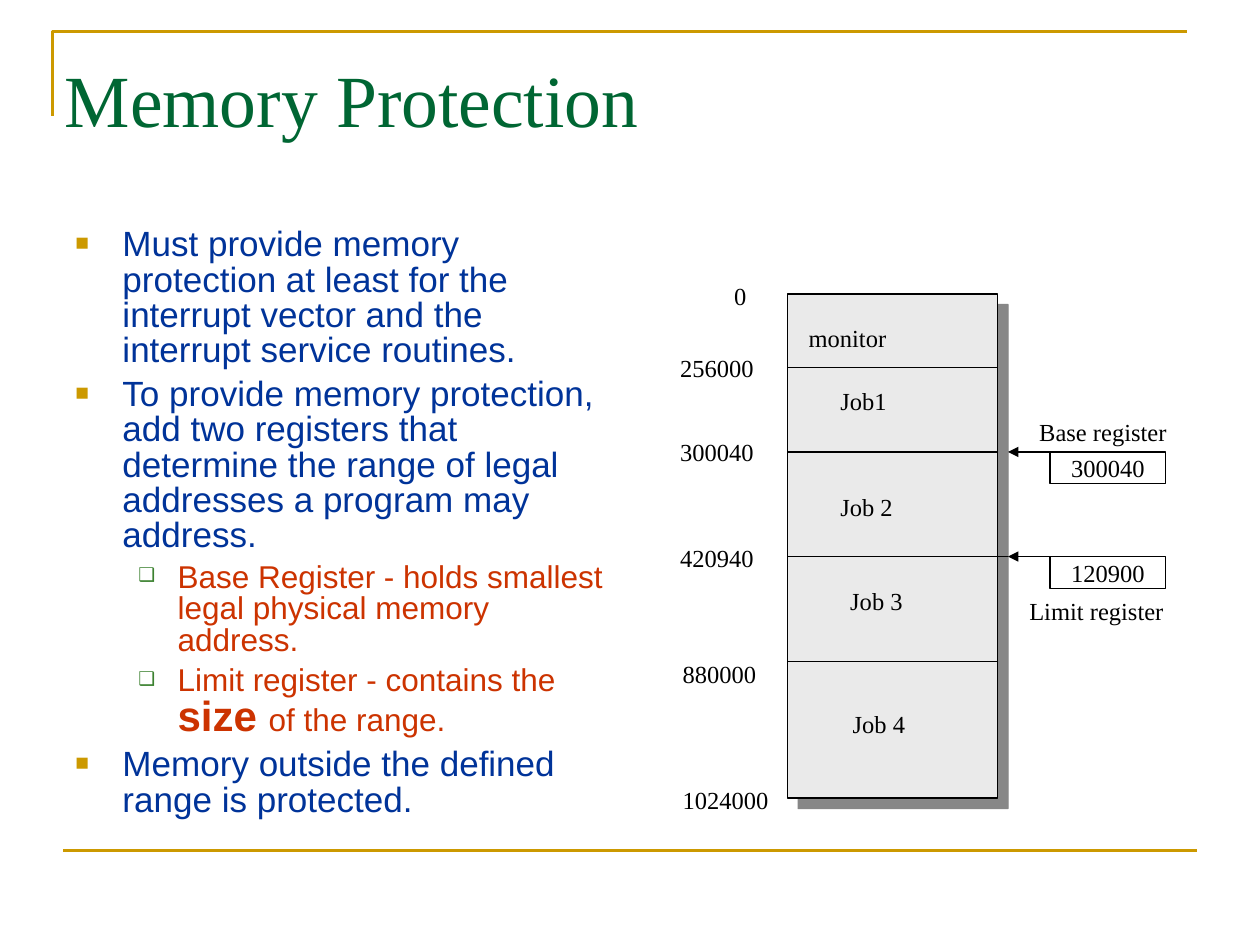
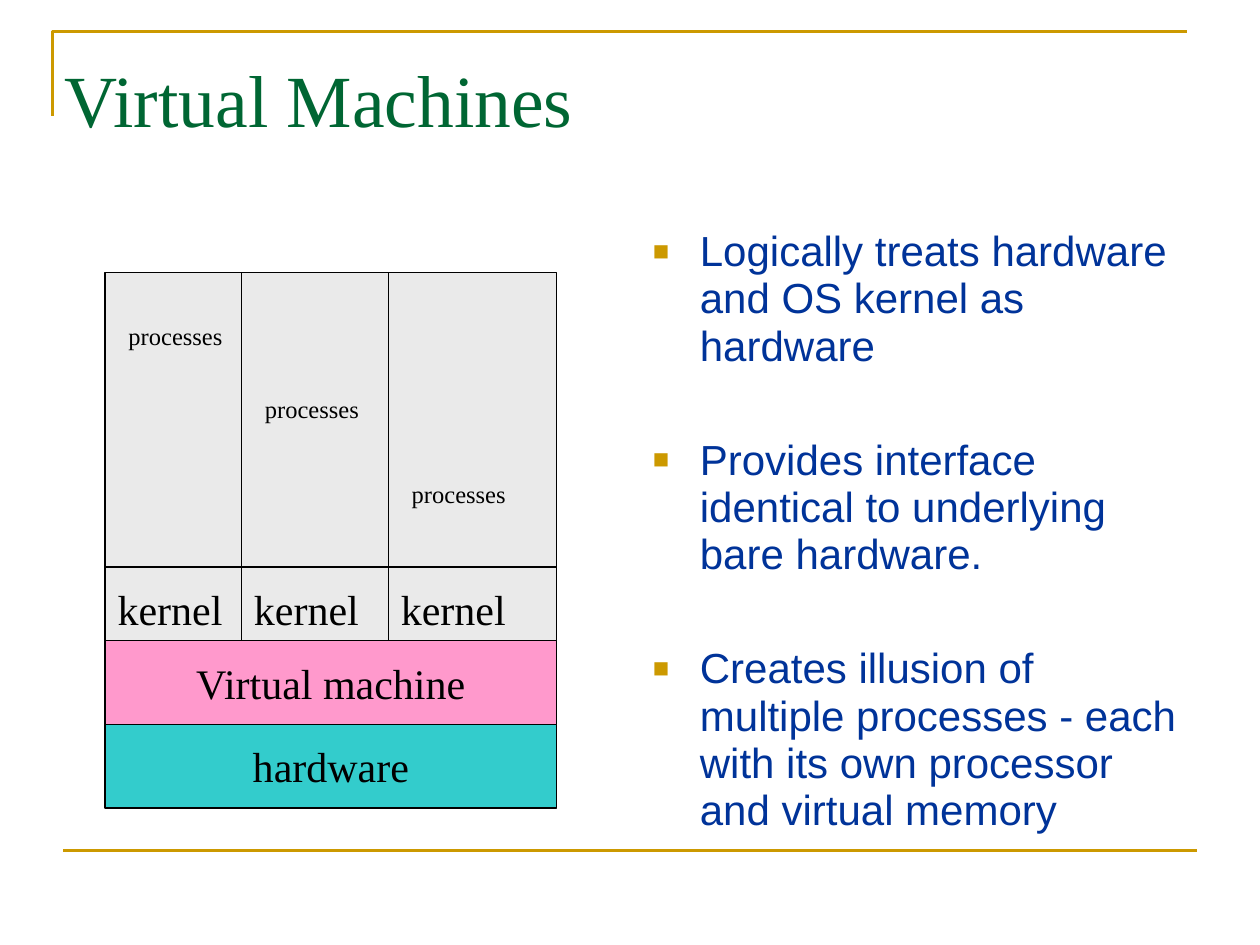
from dataclasses import dataclass

from lxml import etree
from pptx import Presentation
from pptx.dml.color import RGBColor
from pptx.enum.shapes import MSO_CONNECTOR as Connector, MSO_SHAPE as Preset
from pptx.enum.text import MSO_ANCHOR as Anchor, PP_ALIGN as Align
from pptx.oxml.ns import qn
from pptx.util import Cm, Pt


@dataclass(frozen=True)
class Theme:
    gold: str = "CC9900"
    title_green: str = "006633"
    body_blue: str = "003399"
    detail_red: str = "CC3300"
    detail_mark: str = "3B812F"
    ink: str = "000000"
    block_grey: str = "EAEAEA"
    shadow_grey: str = "5F5F5F"
    pink: str = "FF99CC"
    teal: str = "33CCCC"
    serif: str = "Times New Roman"
    sans: str = "Arial"
    title_size: float = 42
    large_size: float = 24
    body_size: float = 20
    detail_size: float = 18
    label_size: float = 14
    rule_width: float = 1.5
    line_width: float = 0.75


@dataclass(frozen=True)
class Box:
    """A rectangle in centimetres."""
    left: float
    top: float
    width: float
    height: float

    def inner_box(self, left, top, width, height):
        return Box(self.left + left, self.top + top, width, height)

    def lengths(self):
        return [Cm(side) for side in (self.left, self.top, self.width, self.height)]


THEME = Theme()
LABEL_WIDTH, LABEL_HEIGHT = 3.4, 0.86


def write(para, text, size=THEME.label_size, font=THEME.serif, color=THEME.ink, bold=False):
    span = para.add_run()
    span.text = text
    span.font.size = Pt(size)
    span.font.name = font
    span.font.bold = bold
    span.font.color.rgb = RGBColor.from_string(color)


def add_text_frame(page, box, top_inset=0.13):
    frame = page.shapes.add_textbox(*box.lengths()).text_frame
    frame.word_wrap = True
    frame.margin_left = frame.margin_right = Cm(0.25)
    frame.margin_top, frame.margin_bottom = Cm(top_inset), Cm(0)
    return frame


def add_label(page, region, left, top, text, **style):
    box = region.inner_box(left, top, LABEL_WIDTH, LABEL_HEIGHT)
    write(add_text_frame(page, box).paragraphs[0], text, **style)


def set_line(line, color=THEME.ink, width=THEME.line_width):
    line.color.rgb = RGBColor.from_string(color)
    line.width = Pt(width)


def add_line(page, region, start, end, arrow=False, **style):
    points = (region.left + start[0], region.top + start[1],
              region.left + end[0], region.top + end[1])
    line = page.shapes.add_connector(Connector.STRAIGHT, *map(Cm, points))
    set_line(line.line, **style)
    properties = line._element.spPr
    if arrow:
        etree.SubElement(properties.find(qn("a:ln")), qn("a:tailEnd"), type="triangle")
    etree.SubElement(properties, qn("a:effectLst"))


def add_block(page, box, fill=None, text="", size=THEME.label_size):
    block = page.shapes.add_shape(Preset.RECTANGLE, *box.lengths())
    block.shadow.inherit = False
    if fill:
        block.fill.solid()
        block.fill.fore_color.rgb = RGBColor.from_string(fill)
    else:
        block.fill.background()
    set_line(block.line)
    if text:
        frame = block.text_frame
        frame.word_wrap = False
        frame.vertical_anchor = Anchor.MIDDLE
        frame.paragraphs[0].alignment = Align.CENTER
        write(frame.paragraphs[0], text, size=size)
    return block


def add_drop_shadow(block):
    effects = block._element.spPr.find(qn("a:effectLst"))
    shadow = etree.SubElement(effects, qn("a:outerShdw"), dist=str(Pt(8.5)),
                              dir="2700000", algn="ctr", rotWithShape="0")
    color = etree.SubElement(shadow, qn("a:srgbClr"), val=THEME.shadow_grey)
    etree.SubElement(color, qn("a:alpha"), val="75000")


def set_bullet(para, mark, color, percent, indent, hanging):
    properties = para._p.get_or_add_pPr()
    properties.set("marL", str(Cm(indent)))
    properties.set("indent", str(-Cm(hanging)))
    holder = etree.SubElement(properties, qn("a:buClr"))
    etree.SubElement(holder, qn("a:srgbClr"), val=color)
    etree.SubElement(properties, qn("a:buSzPct"), val=str(percent * 1000))
    etree.SubElement(properties, qn("a:buFont"), typeface=THEME.sans)
    etree.SubElement(properties, qn("a:buChar"), char=mark)


def add_bullets(page, box, items, size, spacing, gap):
    """Items are (is_detail, spans), with spans as (text, overrides)."""
    frame = add_text_frame(page, box)
    for index, (is_detail, spans) in enumerate(items):
        para = frame.paragraphs[0] if index == 0 else frame.add_paragraph()
        if is_detail:
            para.level = 1
            set_bullet(para, "❑", THEME.detail_mark, 60, 2.06, 0.79)
            style = dict(size=THEME.detail_size, color=THEME.detail_red)
        else:
            set_bullet(para, "■", THEME.gold, 65, 0.95, 0.95)
            style = dict(size=size, color=THEME.body_blue)
        para.line_spacing = spacing
        if index:
            para.space_before = Pt(4.5 if is_detail else gap)
        for text, overrides in spans:
            write(para, text, **{"font": THEME.sans, **style, **overrides})


def add_page(deck, title):
    """Add a page with its corner rule, bottom rule and title."""
    page = deck.slides.add_slide(deck.slide_layouts[6])
    box = Box(1.06, 0.64, 22.86, 1.69)
    left, top, right, bottom = map(
        Cm, (box.left, box.top, box.left + box.width, box.top + box.height))
    builder = page.shapes.build_freeform(left, bottom)
    builder.add_line_segments([(left, top), (right, top)], close=False)
    corner = builder.convert_to_shape()
    corner.shadow.inherit = False
    corner.fill.background()
    rule = dict(color=THEME.gold, width=THEME.rule_width)
    set_line(corner.line, **rule)
    add_line(page, Box(1.27, 17.15, 22.86, 0), (0, 0), (22.86, 0), **rule)
    frame = add_text_frame(page, box.inner_box(0, 0.12, 22.86, 1.78), top_inset=0.32)
    write(frame.paragraphs[0], title, size=THEME.title_size, color=THEME.title_green)
    return page


def add_memory_map(page, region):
    column_left, column_width = 2.42, 4.23
    column_right, arrow_tip, register_left = 6.65, 6.86, 7.71
    column = region.inner_box(column_left, 0, column_width, region.height)
    add_drop_shadow(add_block(page, column, THEME.block_grey))

    for height, end in ((1.48, column_right), (3.18, column_right),
                        (5.29, arrow_tip), (7.41, column_right)):
        add_line(page, region, (column_left, height), (end, height))

    addresses = ((1.09, -0.39, "0"), (0, 1.06, "256000"), (0, 2.76, "300040"),
                 (0, 4.89, "420940"), (0.05, 7.23, "880000"), (0.05, 9.77, "1024000"))
    jobs = ((2.59, 0.45, "monitor"), (3.23, 1.72, "Job1"), (3.23, 3.85, "Job 2"),
            (3.43, 5.75, "Job 3"), (3.48, 8.24, "Job 4"))
    register_names = ((7.24, 2.35, "Base register"), (7.04, 5.96, "Limit register"))
    for left, top, text in addresses + jobs + register_names:
        add_label(page, region, left, top, text)

    for top, value in ((3.18, "300040"), (5.29, "120900")):
        add_block(page, region.inner_box(register_left, top, 2.33, 0.64), text=value)
        add_line(page, region, (register_left, top), (arrow_tip, top), arrow=True)


def add_machine_stack(page, region):
    guest_height, layer_height, kernel_top = 7.41, 1.69, 5.93
    layers = (("Virtual machine", THEME.pink), ("hardware", THEME.teal))
    for index, (name, fill) in enumerate(layers):
        top = guest_height + index * layer_height
        add_block(page, region.inner_box(0, top, region.width, layer_height),
                  fill, name, THEME.large_size)
    add_block(page, region.inner_box(0, 0, region.width, guest_height), THEME.block_grey)

    add_line(page, region, (0, kernel_top), (region.width, kernel_top))
    for left, process_top in ((0, 0.85), (2.75, 2.32), (5.71, 4.02)):
        if left:
            add_line(page, region, (left, 0), (left, guest_height))
        add_label(page, region, left, kernel_top + 0.2, "kernel", size=THEME.large_size)
        add_label(page, region, left + 0.22, process_top, "processes")


def build_memory_page(deck):
    page = add_page(deck, "Memory Protection")
    items = [
        (False, [("Must provide memory protection at least for the interrupt vector "
                  "and the interrupt service routines.", {})]),
        (False, [("To provide memory protection, add two registers that determine "
                  "the range of legal addresses a program may address.", {})]),
        (True, [("Base Register - holds smallest legal physical memory address.", {})]),
        (True, [("Limit register - contains the ", {}),
                ("size ", dict(size=THEME.large_size, bold=True)),
                ("of the range.", {})]),
        (False, [("Memory outside the defined range is protected.", {})]),
    ]
    add_bullets(page, Box(1.27, 4.48, 11.22, 12.57), items,
                size=THEME.body_size, spacing=0.84, gap=5)
    add_memory_map(page, Box(13.46, 5.93, 10.32, 10.16))


def build_machines_page(deck):
    page = add_page(deck, "Virtual Machines")
    points = ("Logically treats hardware and OS kernel as hardware",
              "Provides interface identical to underlying bare hardware.",
              "Creates illusion of multiple processes - each with its own processor "
              "and virtual memory")
    add_bullets(page, Box(12.91, 4.48, 11.22, 12.57),
                [(False, [(point, {})]) for point in points],
                size=THEME.large_size, spacing=0.94, gap=38)
    add_machine_stack(page, Box(2.12, 5.5, 9.1, 10.79))


def main():
    deck = Presentation()
    deck.slide_width, deck.slide_height = Cm(25.4), Cm(19.05)
    build_memory_page(deck)
    build_machines_page(deck)
    deck.save("out.pptx")


if __name__ == "__main__":
    main()
